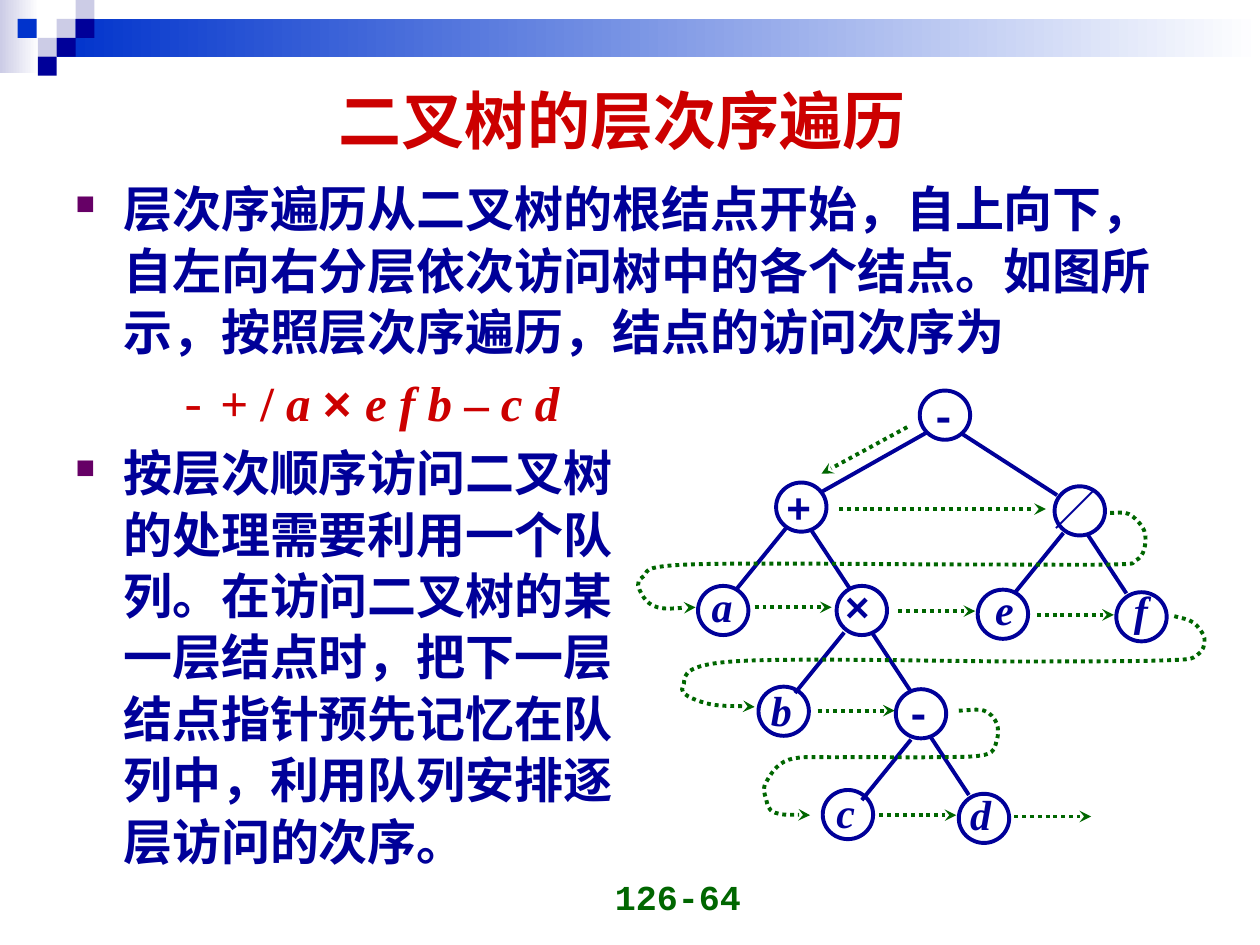
from dataclasses import dataclass
from typing import Any

from lxml.etree import SubElement
from pptx import Presentation
from pptx.dml.color import RGBColor
from pptx.enum.dml import MSO_LINE
from pptx.enum.shapes import MSO_CONNECTOR, MSO_SHAPE
from pptx.enum.text import MSO_ANCHOR as Anchor, PP_ALIGN as Align
from pptx.oxml.ns import qn
from pptx.util import Pt

EMU_PER_PX = 9144  # 100 px to the inch
NAVY, BLUE, PALE, WHITE = "000099", "0033CC", "CCCCE6", "FFFFFF"
RED, GREEN, PURPLE = "CC0000", "006600", "660066"
SERIF, SANS, MONO, CJK = "Times New Roman", "Arial", "Courier New", "Noto Sans CJK SC"
Point = tuple[int, int]


@dataclass
class Run:
    text: str
    font: str
    color: str
    size: int = 28
    bold: bool = True
    italic: bool = False


@dataclass
class Line:
    runs: list[Run]
    bullet: bool = False
    margin: int = 38
    before: float = 0


@dataclass
class Node:
    label: str
    font: str
    circle: Point
    text: Point


def px(length: float) -> int:
    return round(length * EMU_PER_PX)


def rgb(color: str) -> RGBColor:
    return RGBColor.from_string(color)


def set_values(target: Any, values: dict[str, Any]) -> None:
    for name, value in values.items():
        setattr(target, name, value)


def style_line(line: Any, color: str, arrow: bool = False) -> None:
    line.color.rgb = rgb(color)
    line.width = Pt(2.25)
    if arrow:
        line.dash_style = MSO_LINE.ROUND_DOT
        SubElement(line._get_or_add_ln(), qn("a:tailEnd"), type="stealth")


def add_run(paragraph: Any, run: Run) -> None:
    text_run = paragraph.add_run()
    text_run.text = run.text
    set_values(text_run.font, {"name": run.font, "size": Pt(run.size),
                               "bold": run.bold, "italic": run.italic})
    text_run.font.color.rgb = rgb(run.color)
    SubElement(text_run._r.get_or_add_rPr(), qn("a:ea"), typeface=CJK)


def add_text(shapes: Any, box: tuple[int, int, int, int], **frame: Any) -> Any:
    text_frame = shapes.add_textbox(*map(px, box)).text_frame
    set_values(text_frame, {"word_wrap": True, **frame})
    return text_frame


def add_label(shapes: Any, box: tuple[int, int, int, int], run: Run,
              align: Any, **frame: Any) -> None:
    paragraph = add_text(shapes, box, **frame).paragraphs[0]
    paragraph.alignment = align
    add_run(paragraph, run)


def add_body_line(paragraph: Any, line: Line) -> None:
    set_values(paragraph, {"line_spacing": Pt(35.1), "space_before": Pt(line.before)})
    properties = paragraph._p.get_or_add_pPr()
    properties.set("marL", str(px(line.margin)))
    properties.set("indent", str(px(-38 if line.bullet else 0)))
    if line.bullet:
        SubElement(SubElement(properties, qn("a:buClr")), qn("a:srgbClr"), val=PURPLE)
        SubElement(properties, qn("a:buSzPct"), val="55000")
        SubElement(properties, qn("a:buChar"), char="■")
    for run in line.runs:
        add_run(paragraph, run)


def add_block(shapes: Any, box: tuple[int, int, int, int], *colors: str) -> None:
    shape = shapes.add_shape(MSO_SHAPE.RECTANGLE, *map(px, box))
    shape.shadow.inherit = False
    shape.line.fill.background()
    if len(colors) == 1:
        shape.fill.solid()
        shape.fill.fore_color.rgb = rgb(colors[0])
        return
    shape.fill.gradient()
    shape.fill.gradient_angle = 0
    for position, (stop, color) in enumerate(zip(shape.fill.gradient_stops, colors)):
        stop.position = position
        stop.color.rgb = rgb(color)


def add_straight(shapes: Any, start: Point, end: Point, color: str, arrow: bool) -> None:
    connector = shapes.add_connector(MSO_CONNECTOR.STRAIGHT, *map(px, start + end))
    style_line(connector.line, color, arrow)
    SubElement(connector._element.spPr, qn("a:effectLst"))


def add_curve(shapes: Any, points: list[Point]) -> None:
    """Dotted arrow that runs smoothly through the points."""
    builder = shapes.build_freeform(*map(px, points[0]), scale=1.0)
    builder.add_line_segments([(px(x), px(y)) for x, y in points[1:]], close=False)
    shape = builder.convert_to_shape()
    shape.fill.background()
    shape.shadow.inherit = False
    style_line(shape.line, GREEN, arrow=True)
    last = len(points) - 1
    left, top = (min(axis) for axis in zip(*points))

    def control(index: int, sign: int) -> tuple[float, float]:
        before, after = max(index - 1, 0), min(index + 1, last)
        share = sign / (3 * (after - before))
        return tuple(here + (b - a) * share for here, a, b
                     in zip(points[index], points[before], points[after]))

    for index, segment in enumerate(list(shape._element.iter(qn("a:lnTo")))):
        segment.tag = qn("a:cubicBezTo")
        segment.clear()
        for x, y in (control(index, 1), control(index + 1, -1), points[index + 1]):
            SubElement(segment, qn("a:pt"), x=str(px(x - left)), y=str(px(y - top)))


def add_node(shapes: Any, node: Node) -> None:
    italic = node.font == SERIF
    add_label(shapes, (*node.text, 71, 65),
              Run(node.label, node.font, NAVY, 24, italic=italic), Align.JUSTIFY)
    circle = shapes.add_shape(MSO_SHAPE.OVAL, *map(px, (*node.circle, 40, 39)))
    circle.shadow.inherit = False
    circle.fill.background()
    style_line(circle.line, NAVY)


BLOCKS = [(45, 15, PALE), (60, 0, PALE), (60, 15, NAVY), (30, 30, PALE),
          (14, 15, BLUE), (45, 30, NAVY), (30, 45, NAVY)]

QUEUE_LINES = ["的处理需要利用一个队", "列。在访问二叉树的某", "一层结点时，把下一层",
               "结点指针预先记忆在队", "列中，利用队列安排逐", "层访问的次序。"]
BODY = [
    Line([Run("层次序遍历从二叉树的根结点开始，自上向下，自左向右分层依次访问树中的各个结点。"
              "如图所示，按照层次序遍历，结点的访问次序为", SERIF, NAVY)], True, before=5.2),
    Line([Run("-", MONO, RED, bold=False), Run(" + / ", SERIF, RED),
          Run("a ", SERIF, RED, italic=True), Run("× ", SANS, RED),
          Run("e f b", SERIF, RED, italic=True), Run(" – ", SERIF, RED),
          Run("c d", SERIF, RED, italic=True)], margin=82, before=5.2),
    Line([Run("按层次顺序访问二叉树", SANS, NAVY)], True, before=5.2),
    *(Line([Run(text, SANS, NAVY)]) for text in QUEUE_LINES),
]

NODES = [
    Node("-", MONO, (730, 310), (729, 304)), Node("+", MONO, (616, 383), (614, 377)),
    Node("／", CJK, (837, 386), (827, 379)), Node("a", SERIF, (554, 465), (555, 456)),
    Node("×", SANS, (664, 465), (661, 456)), Node("e", SERIF, (776, 468), (780, 458)),
    Node("f", SERIF, (886, 470), (890, 459)), Node("b", SERIF, (602, 545), (602, 538)),
    Node("-", MONO, (711, 547), (709, 540)), Node("c", SERIF, (653, 627), (654, 619)),
    Node("d", SERIF, (761, 630), (760, 621)),
]
LEFT_EDGES = [(624, 419), (844, 423), (670, 502), (723, 587)]   # each falls (-39, 48)
RIGHT_EDGES = [(644, 421), (692, 502), (738, 584), (863, 424)]  # each falls (31, 47)
ROOT_EDGES = [((736, 343), (651, 391)), ((763, 344), (839, 393))]
STEPS = [(599, 482), (823, 488), (713, 485), (649, 564), (698, 647), (805, 648)]
LONG_STEPS = [((666, 404), (830, 404)), ((720, 339), (652, 376))]
CURVES = [
    [(761, 564), (781, 564), (791, 574), (791, 588), (782, 599), (740, 601),
     (669, 601), (626, 603), (608, 621), (608, 634), (615, 645), (643, 647)],
    [(881, 407), (896, 408), (908, 421), (908, 436), (901, 445), (883, 448),
     (766, 448), (547, 448), (510, 458), (509, 471), (522, 482), (552, 482)],
    [(932, 489), (947, 494), (956, 507), (950, 520), (927, 524), (818, 525),
     (581, 525), (542, 545), (560, 558), (599, 561)],
]

presentation = Presentation()
set_values(presentation, {"slide_width": px(1000), "slide_height": px(750)})
shapes = presentation.slides.add_slide(presentation.slide_layouts[6]).shapes

# Header band and squares
add_block(shapes, (0, 0, 31, 58), PALE, WHITE)
add_block(shapes, (45, 15, 955, 30), BLUE, WHITE)
for left, top, color in BLOCKS:
    add_block(shapes, (left, top, 15, 15), color)

# Page number, title and body
add_label(shapes, (365, 683, 233, 50), Run("126-64", MONO, GREEN, 20),
          Align.RIGHT, vertical_anchor=Anchor.BOTTOM)
add_label(shapes, (50, 50, 900, 89), Run("二叉树的层次序遍历", SANS, RED, 36),
          Align.CENTER, vertical_anchor=Anchor.MIDDLE, margin_right=px(22))
body = add_text(shapes, (50, 135, 900, 590))
for index, line in enumerate(BODY):
    add_body_line(body.add_paragraph() if index else body.paragraphs[0], line)

# Tree
for node in NODES:
    add_node(shapes, node)
edges = [((x, y), (x - 39, y + 48)) for x, y in LEFT_EDGES]
edges += [((x, y), (x + 31, y + 47)) for x, y in RIGHT_EDGES]
for start, end in edges + ROOT_EDGES:
    add_straight(shapes, start, end, NAVY, arrow=False)

# Visiting order
for start, end in [((x, y), (x + 61, y)) for x, y in STEPS] + LONG_STEPS:
    add_straight(shapes, start, end, GREEN, arrow=True)
for points in CURVES:
    add_curve(shapes, points)

presentation.save("out.pptx")
